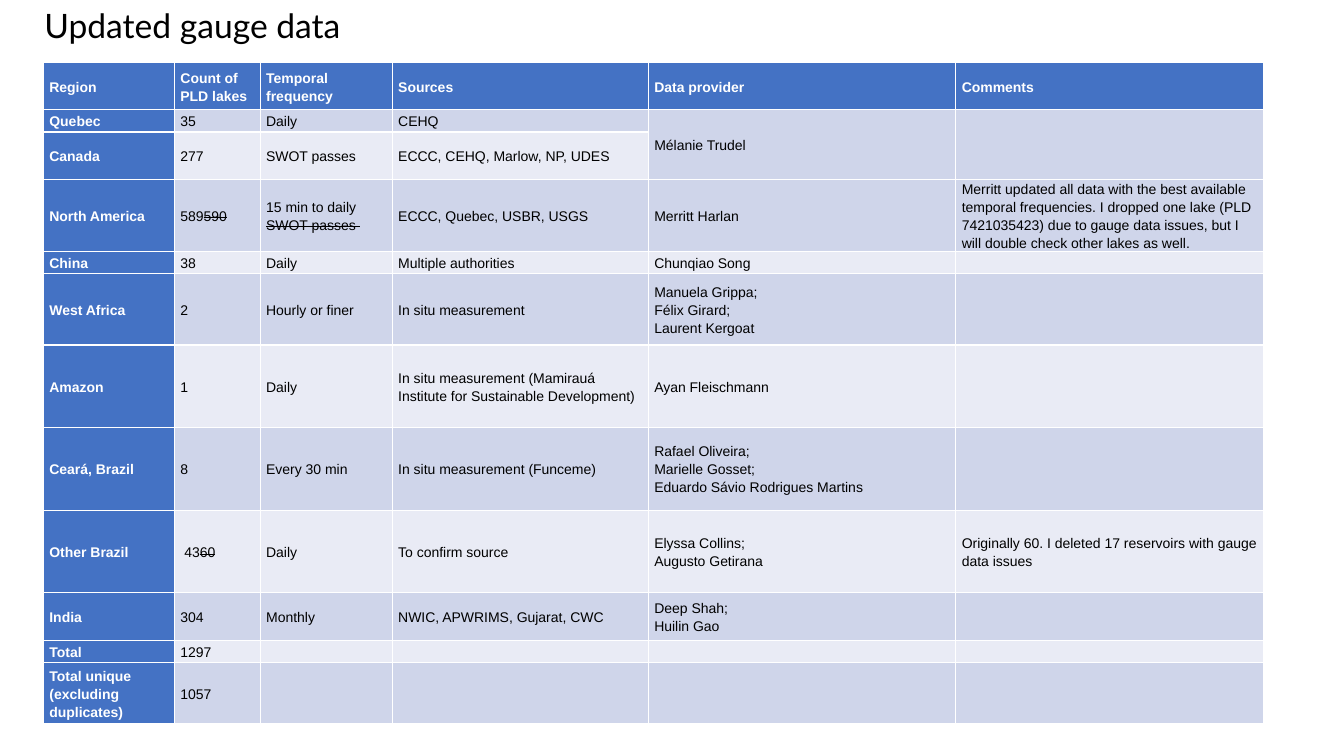
from pptx import Presentation
from pptx import util as u
from pptx.dml.color import RGBColor
from pptx.enum import text

HUES = {"head": "4472C4", "odd": "CFD5EA", "even": "E9EBF5", "ink": "000000", "white": "FFFFFF"}
COLS = [130, 85, 131, 254, 305, 305]
HIGHS = [47, 22, 47, 71, 22, 71, 82, 82, 82, 47, 22, 61]
STRIKE = "|"
ROWS = [
    ["Region", "Count of PLD lakes", "Temporal frequency", "Sources", "Data provider", "Comments"],
    ["Quebec", "35", "Daily", "CEHQ", "Mélanie Trudel", ""],
    ["Canada", "277", "SWOT passes", "ECCC, CEHQ, Marlow, NP, UDES", "", ""],
    ["North America", "589|590", "15 min to daily\n|SWOT passes ", "ECCC, Quebec, USBR, USGS",
     "Merritt Harlan",
     "Merritt updated all data with the best available temporal frequencies. "
     "I dropped one lake (PLD 7421035423) due to gauge data issues, "
     "but I will double check other lakes as well."],
    ["China", "38", "Daily", "Multiple authorities", "Chunqiao Song", ""],
    ["West Africa", "2", "Hourly or finer", "In situ measurement",
     "Manuela Grippa;\nFélix Girard;\nLaurent Kergoat", ""],
    ["Amazon", "1", "Daily",
     "In situ measurement (Mamirauá Institute for Sustainable Development)",
     "Ayan Fleischmann", ""],
    ["Ceará, Brazil", "8", "Every 30 min", "In situ measurement (Funceme)",
     "Rafael Oliveira;\nMarielle Gosset;\nEduardo Sávio Rodrigues Martins", ""],
    ["Other Brazil", " 43|60", "Daily", "To confirm source",
     "Elyssa Collins;\nAugusto Getirana",
     "Originally 60. I deleted 17 reservoirs with gauge data issues"],
    ["India", "304", "Monthly", "NWIC, APWRIMS, Gujarat, CWC", "Deep Shah;\nHuilin Gao", ""],
    ["Total", "1297", "", "", "", ""],
    ["Total unique (excluding duplicates)", "1057", "", "", "", ""],
]


def grid(*steps):
    return [u.Inches(step / 100) for step in steps]


def hue(name):
    return RGBColor.from_string(HUES[name])


def style(font, face, size, name, bold=False):
    font.name, font.size, font.bold = face, u.Pt(size), bold
    font.color.rgb = hue(name)


def title(slide, words):
    box = slide.shapes.title
    box.left, box.top, box.width, box.height = grid(34, 0, 1219, 50)
    frame = box.text_frame
    frame.text = words
    frame.word_wrap = True
    frame.auto_size = text.MSO_AUTO_SIZE.NONE
    frame.vertical_anchor = text.MSO_ANCHOR.MIDDLE
    para = frame.paragraphs[0]
    para.alignment = text.PP_ALIGN.LEFT
    style(para.runs[0].font, "Lato", 24, "ink")


def write(para, line, head):
    para.line_spacing = 1.15
    for spot, piece in enumerate(line.split(STRIKE)):
        if piece:
            run = para.add_run()
            run.text = piece
            style(run.font, "Arial", 10, "white" if head else "ink", head)
            if spot:
                run.font._element.set("strike", "sngStrike")
    if not line:
        para._p.get_or_add_endParaRPr().set("sz", "1000")


def fill(cell, words, tint, head):
    cell.fill.solid()
    cell.fill.fore_color.rgb = hue(tint)
    cell.vertical_anchor = text.MSO_ANCHOR.MIDDLE
    cell.margin_left, cell.margin_top, cell.margin_right, cell.margin_bottom = grid(6, 0, 6, 0)
    frame = cell.text_frame
    for spot, line in enumerate(words.split("\n")):
        write(frame.add_paragraph() if spot else frame.paragraphs[0], line, head)


def table(slide):
    place = grid(43, 62, sum(COLS), sum(HIGHS))
    lakes = slide.shapes.add_table(len(ROWS), len(COLS), *place).table
    lakes.first_col = True
    for col, width in zip(lakes.columns, grid(*COLS)):
        col.width = width
    for row, high in zip(lakes.rows, grid(*HIGHS)):
        row.height = high
    for r, row in enumerate(ROWS):
        for c, words in enumerate(row):
            head = r == 0 or c == 0
            tint = "head" if head else "odd" if r % 2 or (r == 2 and c > 3) else "even"
            fill(lakes.cell(r, c), words, tint, head)
    for c in (4, 5):
        lakes.cell(1, c).merge(lakes.cell(2, c))


def main():
    deck = Presentation()
    deck.slide_width, deck.slide_height = grid(1333, 750)
    slide = deck.slides.add_slide(deck.slide_layouts[5])
    title(slide, "Updated gauge data")
    table(slide)
    deck.save("out.pptx")


if __name__ == "__main__":
    main()
